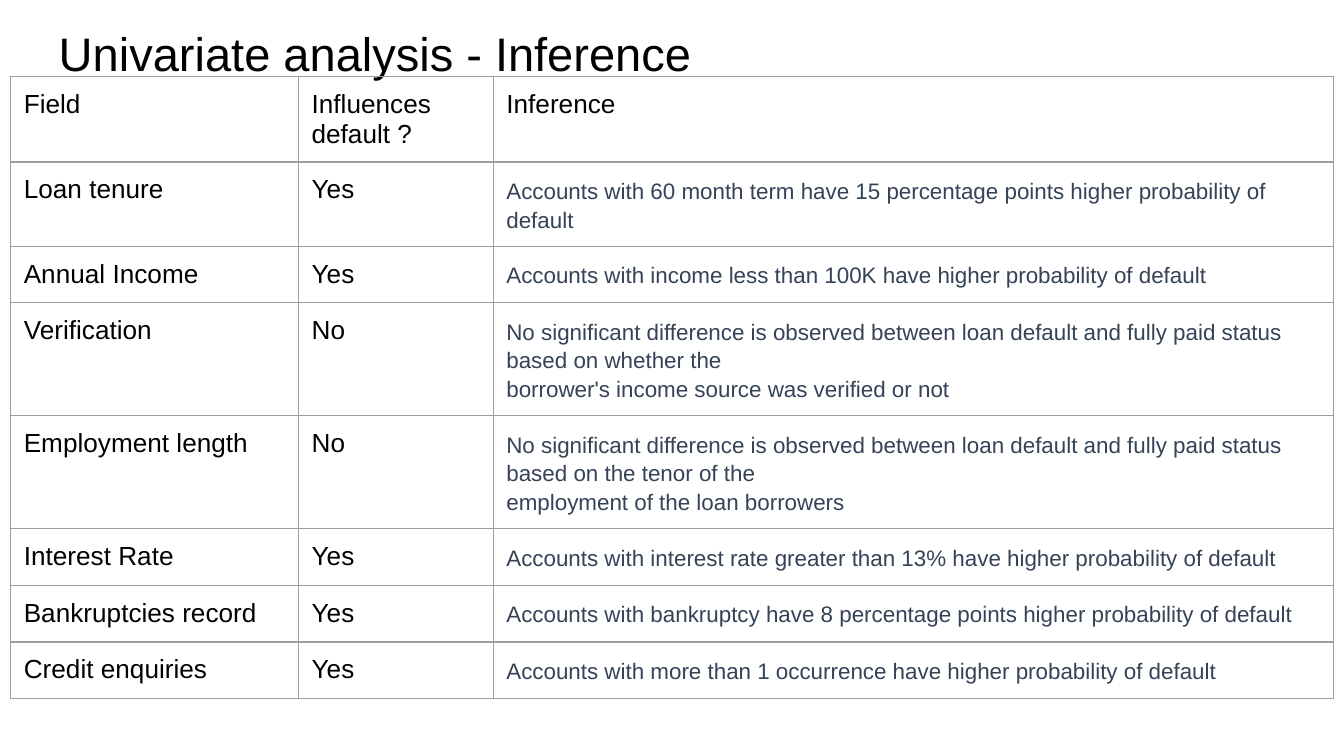
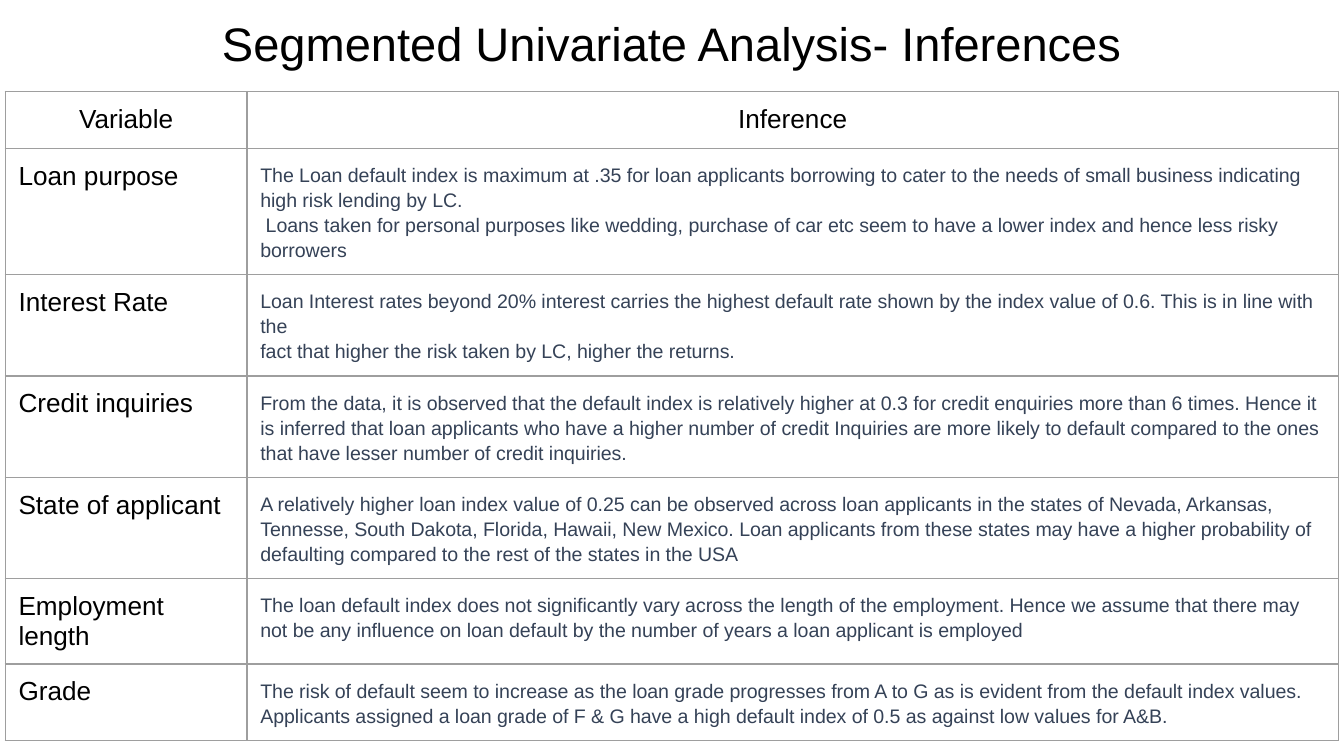
from lxml import etree
from pptx import Presentation
from pptx.dml.color import RGBColor
from pptx.enum.text import MSO_ANCHOR, MSO_AUTO_SIZE, PP_ALIGN
from pptx.oxml.ns import qn
from pptx.util import Cm, Pt

LEFT, CENTER = PP_ALIGN.LEFT, PP_ALIGN.CENTER
TOP, BOTTOM = MSO_ANCHOR.TOP, MSO_ANCHOR.BOTTOM
NO_AUTOFIT = MSO_AUTO_SIZE.NONE

BLACK = RGBColor(0x00, 0x00, 0x00)
SLATE = RGBColor(0x35, 0x42, 0x57)
GRID = RGBColor(0x9E, 0x9E, 0x9E)

FONT = "Arial"
TITLE_SIZE = 25.2
LABEL_SIZE = 14
INSET = Cm(0.25)
ROW_HEIGHT = Cm(1.07)
TITLE_ONLY = 5

# Each inference is a list of paragraphs
UNIVARIATE = [
    ("Loan tenure", "Yes",
     ["Accounts with 60 month term have 15 percentage points higher probability of default"]),
    ("Annual Income", "Yes",
     ["Accounts with income less than 100K have higher probability of default"]),
    ("Verification", "No",
     ["No significant difference is observed between loan default and fully paid status "
      "based on whether the",
      "borrower's income source was verified or not"]),
    ("Employment length", "No",
     ["No significant difference is observed between loan default and fully paid status "
      "based on the tenor of the",
      "employment of the loan borrowers"]),
    ("Interest Rate", "Yes",
     ["Accounts with interest rate greater than 13% have higher probability of default"]),
    ("Bankruptcies record", "Yes",
     ["Accounts with bankruptcy have 8 percentage points higher probability of default"]),
    ("Credit enquiries", "Yes",
     ["Accounts with more than 1 occurrence have higher probability of default"]),
]

SEGMENTED = [
    ("Loan purpose",
     ["The Loan default index is maximum at .35 for loan applicants borrowing to cater to "
      "the needs of small business indicating high risk lending by LC.",
      " Loans taken for personal purposes like wedding, purchase of car etc seem to have a "
      "lower index and hence less risky borrowers"]),
    ("Interest Rate",
     ["Loan Interest rates beyond 20% interest carries the highest default rate shown by "
      "the index value of 0.6. This is in line with the",
      "fact that higher the risk taken by LC, higher the returns."]),
    ("Credit inquiries",
     ["From the data, it is observed that the default index is relatively higher at 0.3 for "
      "credit enquiries more than 6 times. Hence it is inferred that loan applicants who "
      "have a higher number of credit Inquiries are more likely to default compared to the "
      "ones that have lesser number of credit inquiries."]),
    ("State of applicant",
     ["A relatively higher loan index value of 0.25 can be observed across loan applicants "
      "in the states of Nevada, Arkansas, Tennesse, South Dakota, Florida, Hawaii, New "
      "Mexico. Loan applicants from these states may have a higher probability of "
      "defaulting compared to the rest of the states in the USA"]),
    ("Employment length",
     ["The loan default index does not significantly vary across the length of the "
      "employment. Hence we assume that there may not be any influence on loan default by "
      "the number of years a loan applicant is employed"]),
    ("Grade",
     ["The risk of default seem to increase as the loan grade progresses from A to G as is "
      "evident from the default index values.",
      "Applicants assigned a loan grade of F & G have a high default index of 0.5 as "
      "against low values for A&B."]),
]


class InferenceDeck:
    def __init__(self):
        self.prs = Presentation()
        self.prs.slide_width = Cm(25.4)
        self.prs.slide_height = Cm(14.29)
        self.slide = None

    def add_slide(self, title, top, align=LEFT):
        self.slide = self.prs.slides.add_slide(self.prs.slide_layouts[TITLE_ONLY])
        heading = self.slide.shapes.title
        heading.left, heading.top = Cm(0.86), Cm(top)
        heading.width, heading.height = Cm(23.67), Cm(1.6)
        frame = heading.text_frame
        frame.word_wrap = True
        frame.auto_size = NO_AUTOFIT
        frame.vertical_anchor = BOTTOM
        frame.margin_left = frame.margin_right = INSET
        frame.margin_top = frame.margin_bottom = INSET
        self.set_text(frame, [title], TITLE_SIZE, BLACK, align)

    def set_text(self, frame, lines, size, color, align=LEFT, spacing=1.0):
        frame.text = "\n".join(lines)
        for paragraph in frame.paragraphs:
            paragraph.alignment = align
            paragraph.line_spacing = spacing
            for run in paragraph.runs:
                run.font.name = FONT
                run.font.size = Pt(size)
                run.font.bold = False
                run.font.color.rgb = color

    def style_cell(self, cell):
        cell.margin_left = cell.margin_right = INSET
        cell.margin_top = cell.margin_bottom = INSET
        cell.vertical_anchor = TOP
        properties = cell._tc.get_or_add_tcPr()
        for side in ("a:lnL", "a:lnR", "a:lnT", "a:lnB"):
            border = etree.SubElement(properties, qn(side), w=str(Pt(0.75)))
            fill = etree.SubElement(border, qn("a:solidFill"))
            etree.SubElement(fill, qn("a:srgbClr"), val=str(GRID))
        cell.fill.background()

    def add_table(self, left, top, widths, header, rows, inference_size, header_align=LEFT):
        frame = self.slide.shapes.add_table(
            len(rows) + 1, len(widths), Cm(left), Cm(top),
            Cm(sum(widths)), ROW_HEIGHT * (len(rows) + 1))
        table = frame.table
        table.first_row = table.horz_banding = False
        for column, width in zip(table.columns, widths):
            column.width = Cm(width)

        # Header row
        for cell, lines in zip(table.rows[0].cells, header):
            self.style_cell(cell)
            self.set_text(cell.text_frame, lines, LABEL_SIZE, BLACK, header_align)

        # Labels, then the inference in the last column
        for index, (*labels, inference) in enumerate(rows, start=1):
            *label_cells, inference_cell = table.rows[index].cells
            for cell, label in zip(label_cells, labels):
                self.style_cell(cell)
                self.set_text(cell.text_frame, [label], LABEL_SIZE, BLACK)
            self.style_cell(inference_cell)
            self.set_text(inference_cell.text_frame, inference, inference_size, SLATE,
                          spacing=1.15)


def main():
    deck = InferenceDeck()

    # Univariate analysis
    deck.add_slide("Univariate analysis - Inference", top=0.18)
    deck.add_table(0.2, 1.45, (5.44, 3.68, 15.88),
                   (["Field"], ["Influences", "default ?"], ["Inference"]),
                   UNIVARIATE, inference_size=12)

    # Segmented univariate analysis
    deck.add_slide("Segmented Univariate Analysis- Inferences", top=0, align=CENTER)
    deck.add_table(0.1, 1.73, (4.57, 20.62), (["Variable"], ["Inference"]),
                   SEGMENTED, inference_size=10.5, header_align=CENTER)

    deck.prs.save("out.pptx")


if __name__ == "__main__":
    main()
